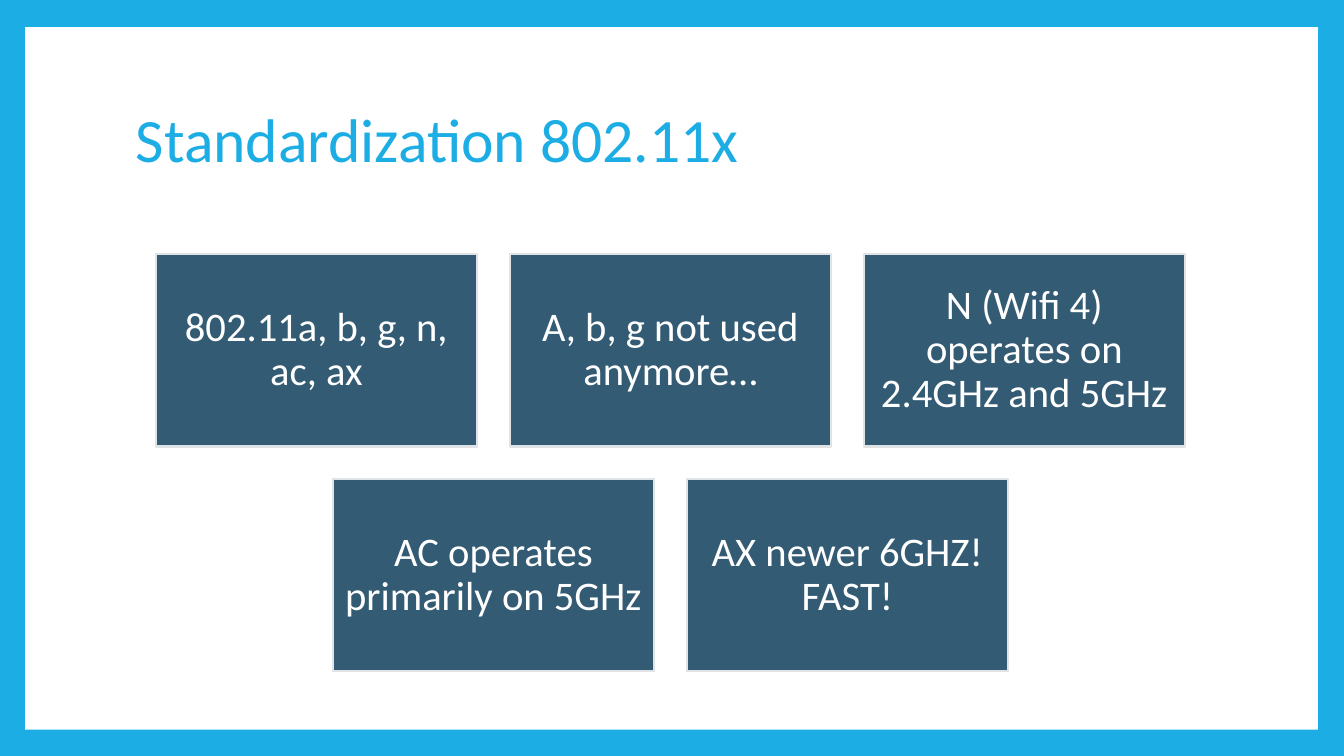
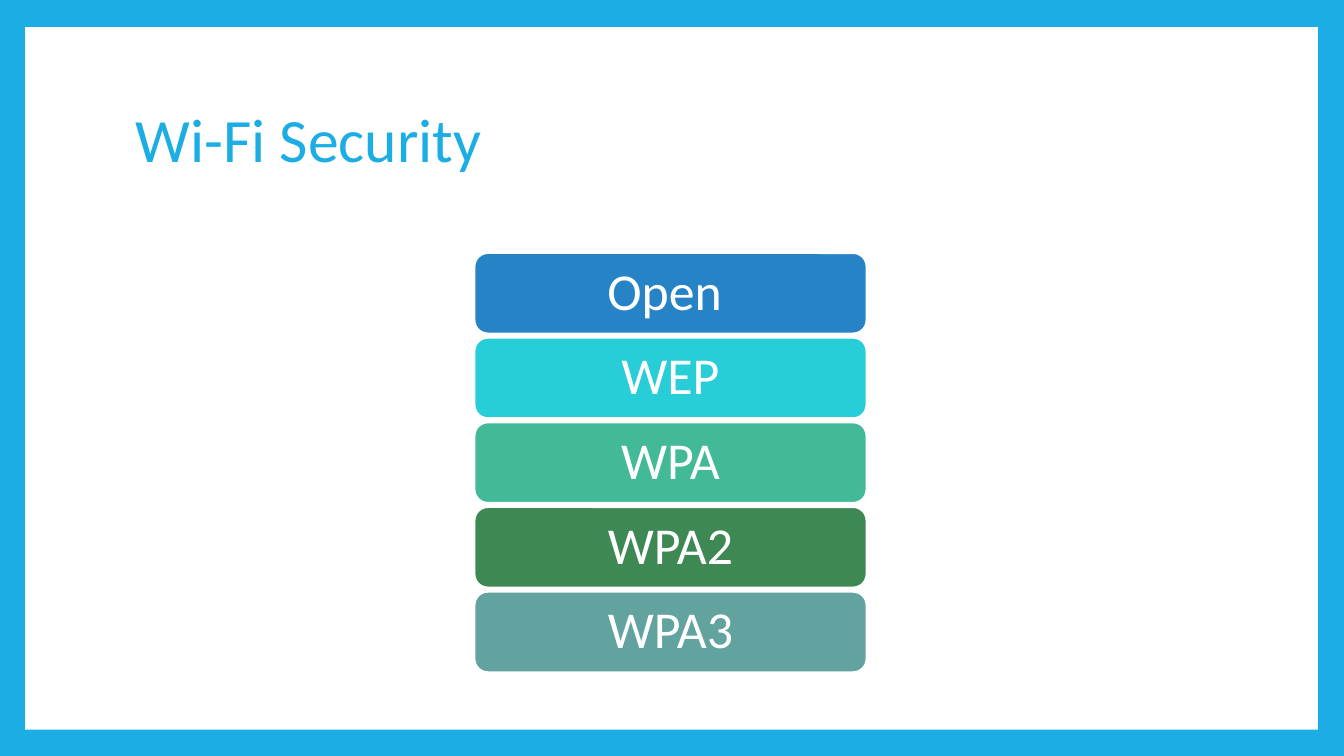
from dataclasses import dataclass

from pptx import Presentation
from pptx.dml.color import RGBColor
from pptx.enum.shapes import MSO_SHAPE
from pptx.enum.text import MSO_ANCHOR, PP_ALIGN
from pptx.util import Inches, Pt


@dataclass(frozen=True)
class Theme:
    font: str = "Calibri"
    accent: str = "1CADE4"
    white: str = "FFFFFF"
    card: str = "335B74"
    card_edge: str = "DFE3E5"
    levels: tuple = ("2683C6", "27CED7", "42BA97", "3E8853", "62A39F")
    title_size: int = 44
    card_size: int = 29
    level_size: int = 37
    edge_width: float = 1.5


THEME = Theme()
CENTER_X = 6.65

STANDARD_ROWS = (
    ("802.11a, b, g, n, ac, ax", "A, b, g not used anymore…",
     "N (Wifi 4) operates on 2.4GHz and 5GHz"),
    ("AC operates primarily on 5GHz", "AX newer 6GHZ! FAST!"),
)
SECURITY_LEVELS = ("Open ", "WEP", "WPA", "WPA2", "WPA3")


def rgb(value):
    return RGBColor.from_string(value)


def write(frame, words, size, color, align=PP_ALIGN.LEFT):
    """Fill a text frame with one vertically centred paragraph."""
    frame.word_wrap = True
    frame.vertical_anchor = MSO_ANCHOR.MIDDLE
    paragraph = frame.paragraphs[0]
    paragraph.alignment = align
    paragraph.line_spacing = 0.9
    run = paragraph.add_run()
    run.text = words
    run.font.name = THEME.font
    run.font.size = Pt(size)
    run.font.color.rgb = rgb(color)


def add_block(slide, preset, box, fill, edge=None):
    """Add a flat filled shape, outlined only when an edge colour is given."""
    block = slide.shapes.add_shape(preset, *map(Inches, box))
    block.shadow.inherit = False
    block.fill.solid()
    block.fill.fore_color.rgb = rgb(fill)
    if edge:
        block.line.color.rgb = rgb(edge)
        block.line.width = Pt(THEME.edge_width)
    else:
        block.line.fill.background()
    return block


def add_label(block, words, size, margin_x, margin_y):
    frame = block.text_frame
    frame.margin_left = frame.margin_right = Inches(margin_x)
    frame.margin_top = frame.margin_bottom = Inches(margin_y)
    write(frame, words, size, THEME.white, PP_ALIGN.CENTER)


def add_framed_slide(prs, heading):
    """Add a slide with the blue border, white panel and title."""
    slide = prs.slides.add_slide(prs.slide_layouts[6])
    slide.background.fill.solid()
    slide.background.fill.fore_color.rgb = rgb(THEME.accent)
    add_block(slide, MSO_SHAPE.RECTANGLE, (0.25, 0.27, 12.82, 6.97), THEME.white)
    title = slide.shapes.add_textbox(*map(Inches, (1.25, 0.67, 10.8, 1.48)))
    write(title.text_frame, heading, THEME.title_size, THEME.accent)
    return slide


def add_card_rows(slide, rows):
    """Lay out rows of equal cards, each row centred."""
    width, height, gap, top = 3.19, 1.91, 0.32, 2.52
    for row, cards in enumerate(rows):
        row_width = len(cards) * (width + gap) - gap
        left = CENTER_X - row_width / 2
        for column, words in enumerate(cards):
            box = (left + column * (width + gap), top + row * (height + gap),
                   width, height)
            card = add_block(slide, MSO_SHAPE.RECTANGLE, box,
                             THEME.card, THEME.card_edge)
            add_label(card, words, THEME.card_size, 0.12, 0.12)


def add_level_stack(slide, levels):
    """Stack rounded bars, one colour per level."""
    width, height, pitch, top = 3.89, 0.8, 0.84, 2.51
    for index, (words, color) in enumerate(zip(levels, THEME.levels)):
        box = (CENTER_X - width / 2, top + index * pitch, width, height)
        bar = add_block(slide, MSO_SHAPE.ROUNDED_RECTANGLE, box,
                        color, THEME.white)
        add_label(bar, words, THEME.level_size, 0.15, 0.08)


def main():
    prs = Presentation()
    prs.slide_width, prs.slide_height = Inches(13.33), Inches(7.5)

    # Wireless standards
    add_card_rows(add_framed_slide(prs, "Standardization 802.11x"), STANDARD_ROWS)

    # Security levels
    add_level_stack(add_framed_slide(prs, "Wi-Fi Security"), SECURITY_LEVELS)

    prs.save("out.pptx")


if __name__ == "__main__":
    main()
